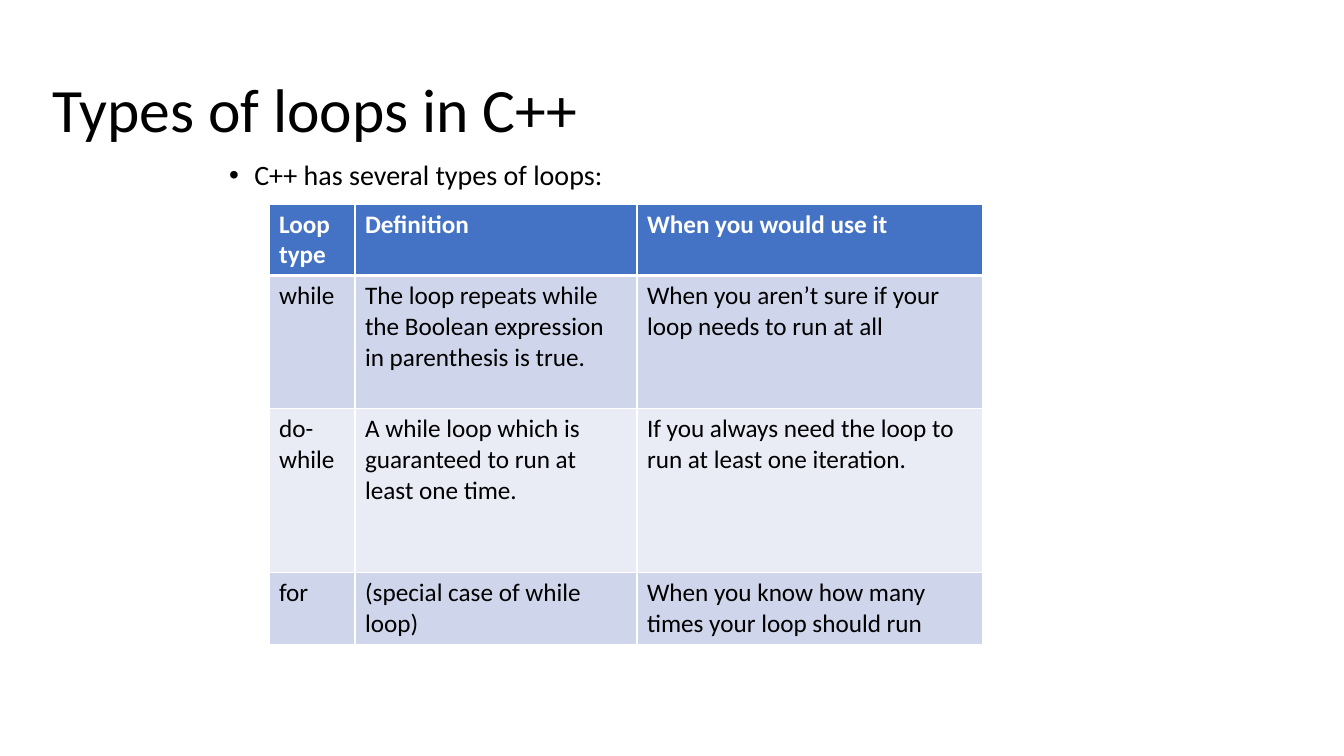
from dataclasses import dataclass

from lxml import etree
from pptx import Presentation
from pptx import util as u
from pptx.dml.color import RGBColor
from pptx.enum import text
from pptx.oxml.ns import qn


@dataclass
class Theme:
    """Colours, type sizes and font of the slide."""
    font: str = "Calibri"
    ink: str = "000000"
    paper: str = "FFFFFF"
    head: str = "4472C4"
    bands: tuple = ("CFD5EA", "E9EBF5")
    title: int = 44
    body: int = 20
    cell: int = 18
    rule: int = 1
    thick: int = 3


def px(n):
    """Turn whole pixels into EMU."""
    return u.Emu(round(n * 914400 / 100.8))


def apply(obj, vals):
    """Set each attribute named in a dict."""
    for name, val in vals.items():
        setattr(obj, name, val)


class Deck:
    """Style and current slide, with a method for each element."""

    def __init__(self, theme):
        """Start a one-slide deck."""
        self.theme = theme
        self.prs = Presentation()
        apply(self.prs, {"slide_width": px(1344), "slide_height": px(756)})
        self.slide = self.prs.slides.add_slide(self.prs.slide_layouts[1])

    def label(self, frame, words, size, color, bold=False, **para):
        """Fill a text frame with one styled paragraph."""
        frame.text = words
        line = frame.paragraphs[0]
        apply(line, {"alignment": text.PP_ALIGN.LEFT, **para})
        font = line.runs[0].font
        apply(font, {"name": self.theme.font, "size": u.Pt(size), "bold": bold})
        font.color.rgb = RGBColor.from_string(color)
        return line

    def place(self, shape, box, anchor):
        """Move a placeholder and fix its frame."""
        apply(shape, dict(zip(("left", "top", "width", "height"), map(px, box))))
        apply(shape.text_frame, {"vertical_anchor": anchor, "word_wrap": True,
                                 "auto_size": text.MSO_AUTO_SIZE.NONE})
        return shape.text_frame

    def title(self, words, box):
        """Set the slide title."""
        frame = self.place(self.slide.shapes.title, box, text.MSO_ANCHOR.MIDDLE)
        self.label(frame, words, self.theme.title, self.theme.ink, line_spacing=0.9)

    def bullet(self, words, box):
        """Set the bulleted lead line."""
        frame = self.place(self.slide.placeholders[1], box, text.MSO_ANCHOR.TOP)
        line = self.label(frame, words, self.theme.body, self.theme.ink,
                          line_spacing=0.9, space_before=u.Pt(10))
        props = line._p.get_or_add_pPr()
        props.set("marL", str(u.Inches(0.25)))
        props.set("indent", str(-u.Inches(0.25)))
        etree.SubElement(props, qn("a:buChar")).set("char", "•")

    def edge(self, cell, side, width):
        """Draw one cell border."""
        props = cell._tc.get_or_add_tcPr()
        line = etree.SubElement(props, qn("a:ln" + side), w=str(u.Pt(width)))
        fill = etree.SubElement(line, qn("a:solidFill"))
        etree.SubElement(fill, qn("a:srgbClr"), val=self.theme.paper)

    def table(self, rows, left, top, widths, heights):
        """Build a banded table with a header row."""
        look = self.theme
        box = map(px, (left, top, sum(widths), sum(heights)))
        grid = self.slide.shapes.add_table(len(rows), len(widths), *box).table
        for col, width in zip(grid.columns, widths):
            col.width = px(width)
        for r, (words, height) in enumerate(zip(rows, heights)):
            grid.rows[r].height = px(height)
            first = r == 0
            fill = look.head if first else look.bands[(r - 1) % 2]
            for c, word in enumerate(words):
                cell = grid.cell(r, c)
                self.label(cell.text_frame, word, look.cell,
                           look.paper if first else look.ink, first)
                for side in "LRTB":
                    heavy = (r, side) in ((0, "B"), (1, "T"))
                    self.edge(cell, side, look.thick if heavy else look.rule)
                cell.fill.solid()
                cell.fill.fore_color.rgb = RGBColor.from_string(fill)


LOOPS = [
    ("Loop type", "Definition", "When you would use it"),
    ("while", "The loop repeats while the Boolean expression in parenthesis is true.",
     "When you aren’t sure if your loop needs to run at all"),
    ("do-while", "A while loop which is guaranteed to run at least one time.",
     "If you always need the loop to run at least one iteration."),
    ("for", "(special case of while loop)",
     "When you know how many times your loop should run"),
]

deck = Deck(Theme())
deck.title("Types of loops in C++", (42, 40, 1260, 146))
deck.bullet("C++ has several types of loops:", (219, 156, 907, 499))
deck.table(LOOPS, 269, 204, (86, 282, 346), (71, 133, 164, 71))
deck.prs.save("out.pptx")
